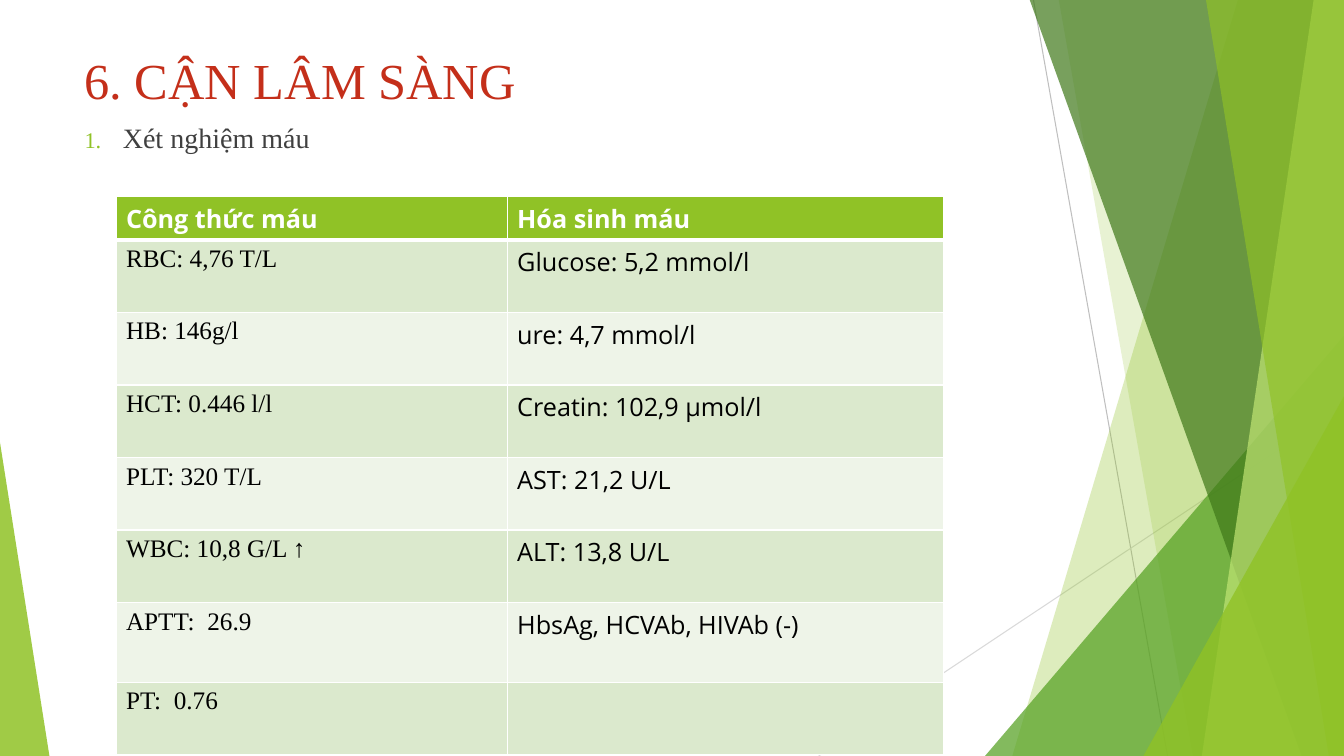
from dataclasses import dataclass

from lxml import etree
from pptx import Presentation
from pptx.dml.color import RGBColor
from pptx.enum.shapes import MSO_CONNECTOR, MSO_SHAPE
from pptx.enum.text import MSO_ANCHOR
from pptx.oxml.ns import qn
from pptx.util import Inches, Pt

STRAIGHT = MSO_CONNECTOR.STRAIGHT
TRIANGLE = MSO_SHAPE.ISOSCELES_TRIANGLE
TOP = MSO_ANCHOR.TOP
SLIDE_W, SLIDE_H = 13.33, 7.5
BAND_TOP = -0.01


@dataclass(frozen=True)
class Theme:
    """Colours, fonts and type sizes of the slide."""
    green: str = "90C226"
    leaf: str = "54A021"
    forest: str = "3F7819"
    lime: str = "C0E474"
    title: str = "C42F1A"
    body: str = "404040"
    black: str = "000000"
    white: str = "FFFFFF"
    row_dark: str = "DBE9CD"
    row_light: str = "EEF4E8"
    line_dark: str = "BFBFBF"
    line_light: str = "D9D9D9"
    serif: str = "Times New Roman"
    sans: str = "Open Sans"
    title_size: int = 36
    body_size: int = 20
    table_size: int = 18


THEME = Theme()

RAYS = [
    ((10.25, 0), (11.58, SLIDE_H), THEME.line_dark),
    ((SLIDE_W, 4.03), (8.12, SLIDE_H), THEME.line_light),
]
# Each band runs to the right edge: x at top, x at bottom, colour, opacity.
BACK_BANDS = [
    (12.28, 10.04, THEME.green, 30),
    (10.5, 11.83, THEME.green, 20),
]
FRONT_BANDS = [
    (10.21, 12.91, THEME.forest, 70),
    (13.03, 11.92, THEME.lime, 70),
    (11.96, 13.18, THEME.green, 65),
]
BLOOD_TESTS = [
    ("Công thức máu", "Hóa sinh máu"),
    ("RBC: 4,76 T/L", "Glucose: 5,2 mmol/l"),
    ("HB: 146g/l", "ure: 4,7 mmol/l"),
    ("HCT: 0.446 l/l", "Creatin: 102,9 µmol/l"),
    ("PLT: 320 T/L", "AST: 21,2 U/L"),
    ("WBC: 10,8 G/L ↑", "ALT: 13,8 U/L"),
    ("APTT:  26.9", "HbsAg, HCVAb, HIVAb (-)"),
    ("PT:  0.76", ""),
]
COLUMN_WIDTHS = [3.88, 4.33]
ROW_HEIGHTS = [0.43] + [0.72] * 5 + [0.79, 0.72]


def child(parent, tag, **attributes):
    """Append an XML element with attributes and return it."""
    element = etree.SubElement(parent, qn(tag))
    for key, value in attributes.items():
        element.set(key, str(value))
    return element


def write_text(frame, text, *, font, size, color, bold=False):
    """Write one formatted run and return its paragraph."""
    frame.word_wrap = True
    paragraph = frame.paragraphs[0]
    run = paragraph.add_run()
    run.text = text
    run.font.name = font
    run.font.size = Pt(size)
    run.font.bold = bold
    run.font.color.rgb = RGBColor.from_string(color)
    return paragraph


def add_text(slide, box, text, inset_top=0.05, **text_format):
    """Add a top-anchored text box and return its paragraph."""
    frame = slide.shapes.add_textbox(*map(Inches, box)).text_frame
    frame.vertical_anchor = TOP
    frame.margin_top = Inches(inset_top)
    return write_text(frame, text, **text_format)


def number_paragraph(paragraph, indent, color):
    """Give a paragraph a hanging, coloured automatic number."""
    properties = paragraph._p.get_or_add_pPr()
    properties.set("marL", str(Inches(indent)))
    properties.set("indent", str(-Inches(indent)))
    child(child(properties, "a:buClr"), "a:srgbClr", val=color)
    child(properties, "a:buSzPct", val=80000)
    child(properties, "a:buAutoNum", type="arabicPeriod")


def paint(shape, color, opacity):
    """Fill a shape with a translucent colour, without line or shadow."""
    shape.shadow.inherit = False
    shape.line.fill.background()
    shape.fill.solid()
    shape.fill.fore_color.rgb = RGBColor.from_string(color)
    color_node = shape._element.spPr.find(qn("a:solidFill"))[0]
    child(color_node, "a:alpha", val=opacity * 1000)


def add_ray(slide, start, end, color):
    """Add a thin decorative line."""
    ray = slide.shapes.add_connector(STRAIGHT, *map(Inches, start + end))
    ray.line.color.rgb = RGBColor.from_string(color)
    ray.line.width = Pt(0.75)
    child(ray._element.spPr, "a:effectLst")


def add_band(slide, top_x, bottom_x, color, opacity):
    """Add a slanted band that ends at the right slide edge."""
    corners = [(SLIDE_W, BAND_TOP), (SLIDE_W, SLIDE_H), (bottom_x, SLIDE_H)]
    builder = slide.shapes.build_freeform(Inches(top_x), Inches(BAND_TOP))
    builder.add_line_segments([(Inches(x), Inches(y)) for x, y in corners])
    paint(builder.convert_to_shape(), color, opacity)


def add_corner(slide, left, top, width, apex, color, opacity):
    """Add a right triangle standing on the bottom slide edge."""
    box = (left, top, width, SLIDE_H - top)
    corner = slide.shapes.add_shape(TRIANGLE, *map(Inches, box))
    corner.adjustments[0] = apex
    paint(corner, color, opacity)


def style_cell(cell, fill, bottom_width):
    """Set white borders and the fill of a table cell."""
    properties = cell._tc.get_or_add_tcPr()
    borders = {"a:lnL": 1, "a:lnR": 1, "a:lnT": 1, "a:lnB": bottom_width}
    for tag, width in borders.items():
        border = child(properties, tag, w=Pt(width))
        child(child(border, "a:solidFill"), "a:srgbClr", val=THEME.white)
    cell.fill.solid()
    cell.fill.fore_color.rgb = RGBColor.from_string(fill)


def add_results_table(slide, left, top):
    """Add the table of blood test results."""
    size = (sum(COLUMN_WIDTHS), sum(ROW_HEIGHTS))
    table = slide.shapes.add_table(
        len(BLOOD_TESTS), len(COLUMN_WIDTHS),
        *map(Inches, (left, top) + size)).table
    for column, width in zip(table.columns, COLUMN_WIDTHS):
        column.width = Inches(width)
    for row, height in zip(table.rows, ROW_HEIGHTS):
        row.height = Inches(height)
    for r, results in enumerate(BLOOD_TESTS):
        header = r == 0
        stripe = THEME.row_dark if r % 2 else THEME.row_light
        for c, result in enumerate(results):
            cell = table.cell(r, c)
            style_cell(cell, THEME.green if header else stripe,
                       3 if header else 1)
            if result:
                write_text(cell.text_frame, result, bold=header,
                           font=THEME.sans if header or c else THEME.serif,
                           size=THEME.table_size,
                           color=THEME.white if header else THEME.black)


def add_backdrop(slide):
    """Add the green facets and thin lines, from back to front."""
    for ray in RAYS:
        add_ray(slide, *ray)
    for band in BACK_BANDS:
        add_band(slide, *band)
    add_corner(slide, 9.77, 3.33, 3.56, 1, THEME.leaf, 72)
    for band in FRONT_BANDS:
        add_band(slide, *band)
    add_corner(slide, 11.34, 3.93, 1.99, 1, THEME.green, 80)
    add_corner(slide, 0, 4.39, 0.49, 0, THEME.green, 85)


def main():
    """Build the slide and save it."""
    deck = Presentation()
    deck.slide_width, deck.slide_height = Inches(SLIDE_W), Inches(SLIDE_H)
    slide = deck.slides.add_slide(deck.slide_layouts[6])
    add_backdrop(slide)
    add_text(slide, (0.74, 0.39, 9.4, 0.88), "6. CẬN LÂM SÀNG", 0.1,
             font=THEME.serif, size=THEME.title_size, color=THEME.title)
    heading = add_text(slide, (0.74, 1.15, 9.4, 0.65), "Xét nghiệm máu",
                       font=THEME.serif, size=THEME.body_size,
                       color=THEME.body)
    number_paragraph(heading, 0.38, THEME.green)
    add_results_table(slide, 1.15, 1.95)
    deck.save("out.pptx")


main()
